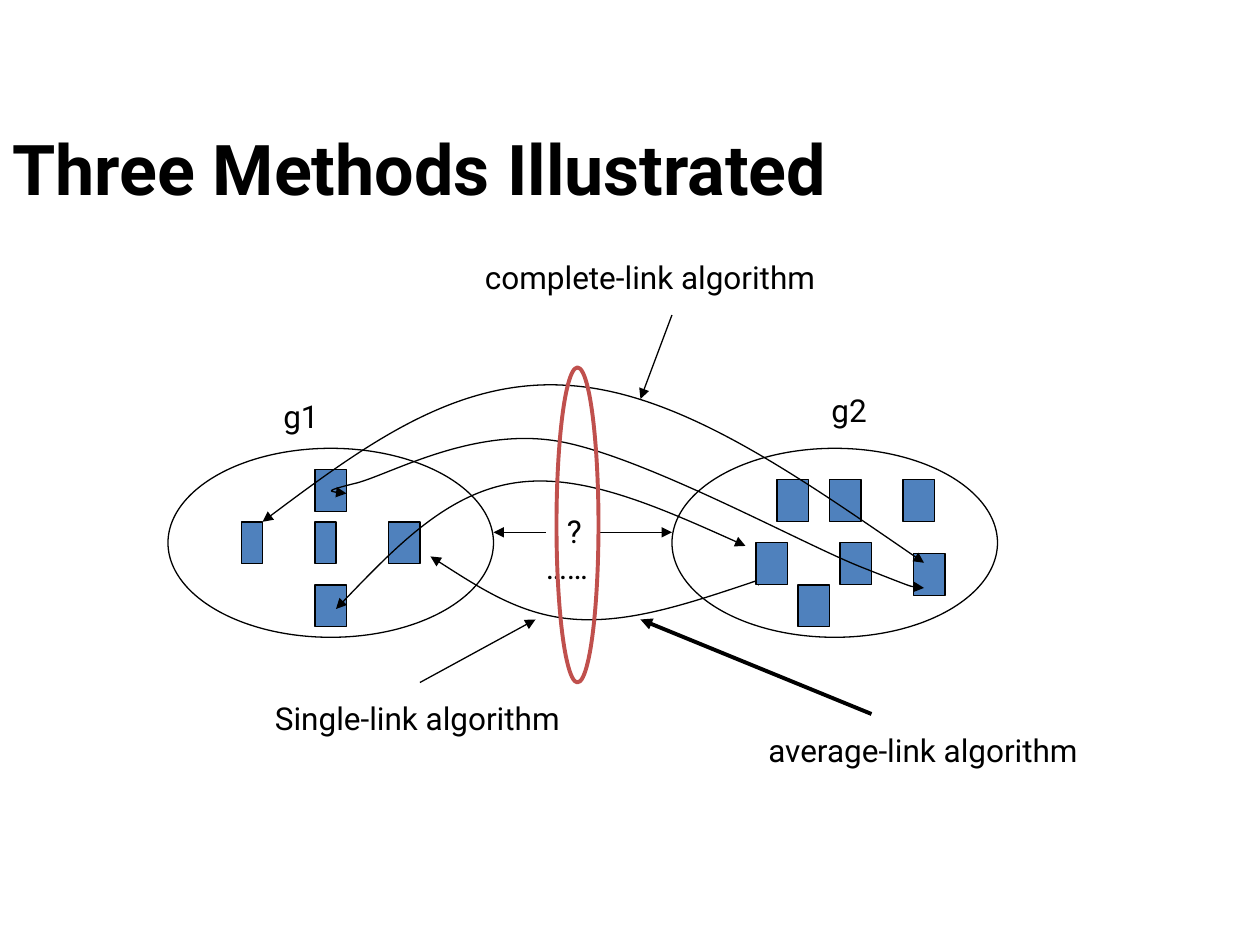
from dataclasses import dataclass

from lxml.etree import SubElement
from pptx import Presentation
from pptx.dml.color import RGBColor
from pptx.enum.shapes import MSO_CONNECTOR, MSO_SHAPE
from pptx.enum.text import MSO_ANCHOR, PP_ALIGN
from pptx.oxml.ns import qn
from pptx.util import Inches, Pt


@dataclass(frozen=True)
class Theme:
    font: str = "Roboto"
    title_size: int = 40
    label_size: int = 18
    ink: RGBColor = RGBColor(0x00, 0x00, 0x00)
    point: RGBColor = RGBColor(0x4F, 0x81, 0xBD)
    highlight: RGBColor = RGBColor(0xC0, 0x50, 0x4D)
    thin: float = 0.75
    thick: float = 2.25


THEME = Theme()
COLUMNS, ROWS = 120, 90  # grid of twelve cells to the inch
POINT_HEIGHT = 4

# Points of each group: column, row, width
GROUP_1 = [(30, 55.7, 3), (30, 44.7, 3), (23, 49.7, 2), (37, 49.7, 3), (30, 49.7, 2)]
GROUP_2 = [(74, 45.7, 3), (86, 45.7, 3), (79, 45.7, 3), (72, 51.7, 3),
           (76, 55.7, 3), (87, 52.7, 3), (80, 51.7, 3)]

# Bezier links: a start, then two control points and an end per segment
SINGLE_LINK = [(41, 53), (45.4, 55.8), (49.7, 58.7), (55, 59),
               (60.4, 59.3), (66.7, 57.1), (73, 55)]
COMPLETE_LINK = [(25, 49.7), (34.2, 42.8), (43.4, 36), (54, 36.7),
                 (64.6, 37.3), (76.2, 45.5), (88, 53.6)]
UPPER_LINK = [(33, 47), (31.8, 46.9), (30.7, 46.8), (34, 46),
              (37.3, 45.1), (45, 40.7), (53, 42),
              (61, 43.3), (76.2, 51.7), (82, 54),
              (87.8, 56.3), (88, 56.2), (88, 56)]
LOWER_LINK = [(32, 58), (37.2, 52.6), (42.5, 47), (49, 46),
              (55.4, 45), (63.2, 48.5), (71, 52)]

# Labels: text, column, row, width
LABELS = [
    ("Single-link algorithm", 25, 66, 36.7),
    ("?", 52.8, 48.2, 4.2),
    ("g1", 25.8, 37.2, 6.4),
    ("g2", 78, 36.7, 6.4),
    ("complete-link algorithm", 45, 24, 41.2),
    ("……", 50.8, 51.6, 10.4),
    ("average-link algorithm", 72, 69, 38.9),
]

# Pointers: start, end, line width
POINTERS = [
    ((40, 65), (51, 59), THEME.thin),
    ((52, 50.7), (47, 50.7), THEME.thin),
    ((57, 50.7), (64, 50.7), THEME.thin),
    ((64, 30), (61, 38), THEME.thin),
    ((83, 68), (61, 59), THEME.thick),
]


def cells(*counts):
    """Turn counts of grid cells into lengths."""
    return [Inches(count / 12) for count in counts]


def write(shape, text, size, bold=False):
    paragraph = shape.text_frame.paragraphs[0]
    paragraph.alignment = PP_ALIGN.LEFT
    run = paragraph.add_run()
    run.text = text
    run.font.name = THEME.font
    run.font.size = Pt(size)
    run.font.bold = bold
    run.font.color.rgb = THEME.ink


def set_line(shape, color=THEME.ink, width=THEME.thin):
    shape.line.color.rgb = color
    shape.line.width = Pt(width)


def add_arrowheads(shape, *ends):
    outline = shape.line._get_or_add_ln()
    for end in ends:
        SubElement(outline, qn(f"a:{end}"), type="triangle")


def add_title(slide, text):
    title = slide.shapes.title
    title.left, title.top, title.width, title.height = cells(0, 12, 102, 8)
    title.text_frame.vertical_anchor = MSO_ANCHOR.MIDDLE
    write(title, text, THEME.title_size, bold=True)


def add_label(slide, text, column, row, width):
    label = slide.shapes.add_textbox(*cells(column, row, width, 6))
    label.text_frame.word_wrap = True
    write(label, text, THEME.label_size)


def add_outline(slide, kind, box, fill=None, color=THEME.ink, width=THEME.thin):
    shape = slide.shapes.add_shape(kind, *cells(*box))
    shape.shadow.inherit = False
    if fill is None:
        shape.fill.background()
    else:
        shape.fill.solid()
        shape.fill.fore_color.rgb = fill
    set_line(shape, color, width)


def add_pointer(slide, start, end, width):
    pointer = slide.shapes.add_connector(MSO_CONNECTOR.STRAIGHT, *cells(*start, *end))
    set_line(pointer, width=width)
    add_arrowheads(pointer, "tailEnd")
    SubElement(pointer._element.spPr, qn("a:effectLst"))


def add_link(slide, nodes):
    """Draw a curve with an arrowhead at both ends."""
    start, *rest = [cells(*node) for node in nodes]
    builder = slide.shapes.build_freeform(*start)
    builder.add_line_segments(rest, close=False)
    link = builder.convert_to_shape()
    # Join each three straight steps into one Bezier segment
    steps = list(link._element.iter(qn("a:lnTo")))
    for index in range(0, len(steps), 3):
        first, *others = steps[index:index + 3]
        curve = first.makeelement(qn("a:cubicBezTo"))
        first.addprevious(curve)
        for step in (first, *others):
            curve.append(step[0])
            step.getparent().remove(step)
    link.shadow.inherit = False
    link.fill.background()
    set_line(link)
    add_arrowheads(link, "headEnd", "tailEnd")


def main():
    presentation = Presentation()
    presentation.slide_width, presentation.slide_height = cells(COLUMNS, ROWS)
    slide = presentation.slides.add_slide(presentation.slide_layouts[5])
    add_title(slide, "Three Methods Illustrated")

    # The single link runs behind the points
    add_link(slide, SINGLE_LINK)

    # Two groups of points
    for column, row, width in GROUP_1 + GROUP_2:
        add_outline(slide, MSO_SHAPE.RECTANGLE, (column, row, width, POINT_HEIGHT),
                    fill=THEME.point)
    for column in (16, 64):
        add_outline(slide, MSO_SHAPE.OVAL, (column, 42.7, 31, 18))

    # Labels, links and pointers
    for label in LABELS:
        add_label(slide, *label)
    for nodes in (COMPLETE_LINK, UPPER_LINK, LOWER_LINK):
        add_link(slide, nodes)
    for pointer in POINTERS:
        add_pointer(slide, *pointer)

    # Highlight around the question
    add_outline(slide, MSO_SHAPE.OVAL, (53, 35, 4, 30),
                color=THEME.highlight, width=THEME.thick)
    presentation.save("out.pptx")


if __name__ == "__main__":
    main()
